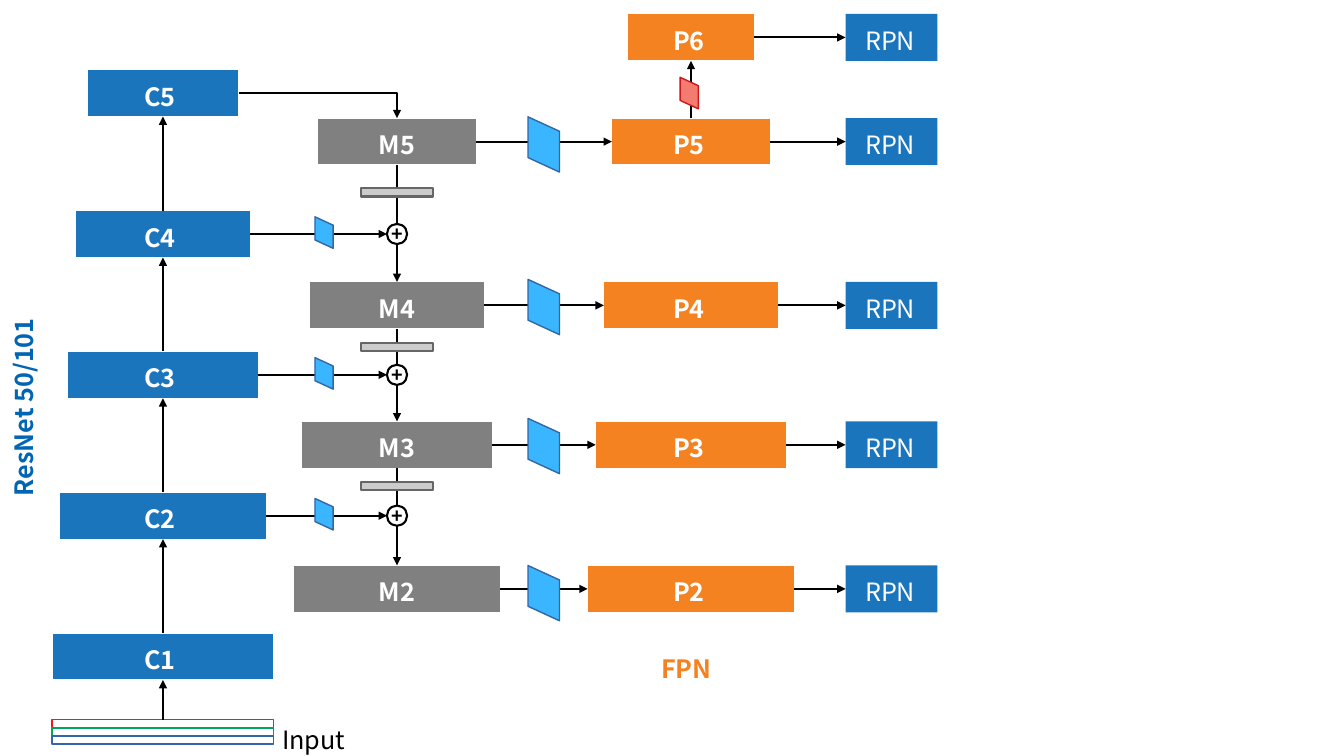
from pptx import Presentation
from pptx.dml.color import RGBColor
from pptx.enum.shapes import MSO_CONNECTOR as Route, MSO_SHAPE as Preset
from pptx.enum.text import MSO_ANCHOR as Anchor, PP_ALIGN as Align
from pptx.oxml.ns import qn
from pptx.util import Pt
from lxml.etree import SubElement

FONT = "Noto Sans CJK TC"
COLORS = {
    "blue": "1B75BC", "gray": "808080", "orange": "F58220", "white": "FFFFFF",
    "black": "000000", "sky": "39B6FF", "navy": "3465A4", "salmon": "F37B70",
    "crimson": "CE181E", "silver": "CCCCCC", "steel": "666666",
    "red": "ED1C24", "green": "00A65D", "title": "0066B3",
}
BOX_HEIGHT = 33.5
HALF = BOX_HEIGHT / 2
C_X, BAR_X, M_X, P_X, RPN_X = 116.4, 283.7, 283.6, 493.6, 636.8
CONV_X, SIDE_CONV_X = 388.4, 231.5
C_WIDTHS = {"C1": 158.4, "C2": 147.6, "C3": 136.1, "C4": 124.6, "C5": 108}
PYRAMID = {
    5: {"top": 84.4, "width": 113, "conv_y": 103.2, "bar_gap": 16.7},
    4: {"top": 201.4, "width": 124.6, "conv_y": 219.3, "bar_gap": 9.8},
    3: {"top": 301, "width": 136.1, "conv_y": 318.6, "bar_gap": 9.8},
    2: {"top": 403.9, "width": 147.6, "conv_y": 423.7},
}
TOP, LEFT, BOTTOM, RIGHT = range(4)


def rgb(name):
    """Return the named colour."""
    return RGBColor.from_string(COLORS[name])


def write(frame, text, color, size=18, bold=True, align=Align.LEFT, spacing=1.21):
    """Put one styled line of text into a text frame."""
    paragraph = frame.paragraphs[0]
    paragraph.text = text
    paragraph.alignment = align
    paragraph.line_spacing = spacing
    font = paragraph.font
    font.name, font.size, font.bold = FONT, Pt(size), bold
    font.color.rgb = rgb(color)


def add_shape(slide, preset, center_x, center_y, width, height, fill, line=None, weight=1):
    """Add a filled shape around a centre point."""
    shape = slide.shapes.add_shape(
        preset, Pt(center_x - width / 2), Pt(center_y - height / 2), Pt(width), Pt(height))
    shape.shadow.inherit = False
    shape.fill.solid()
    shape.fill.fore_color.rgb = rgb(fill)
    if line:
        shape.line.color.rgb = rgb(line)
        shape.line.width = Pt(weight)
    else:
        shape.line.fill.background()
    return shape


def add_block(slide, text, center_x, top, width, fill, nudge=0, line="white", bold=True):
    """Add a labelled network block."""
    block = add_shape(slide, Preset.RECTANGLE, center_x, top + HALF, width, BOX_HEIGHT,
                      fill, line, 0.75)
    frame = block.text_frame
    frame.vertical_anchor = Anchor.TOP
    frame.margin_left, frame.margin_right = 0, Pt(nudge)
    write(frame, text, "white", bold=bold, align=Align.CENTER)
    return block


def add_arrow(slide, start, start_side, end, end_side=None, weight=1.5, route=Route.STRAIGHT):
    """Add an arrow from a block to another block or to a point."""
    x, y = end if end_side is None else (0, 0)
    arrow = slide.shapes.add_connector(route, 0, 0, Pt(x), Pt(y))
    arrow.begin_connect(start, start_side)
    if end_side is not None:
        arrow.end_connect(end, end_side)
    arrow.line.color.rgb = rgb("black")
    arrow.line.width = Pt(weight)
    SubElement(arrow.line._get_or_add_ln(), qn("a:tailEnd"), type="triangle")
    properties = arrow._element.spPr
    SubElement(properties, qn("a:effectLst"))
    if route == Route.ELBOW:
        properties.find(qn("a:prstGeom")).set("prst", "bentConnector2")
    return arrow


def add_conv(slide, center_x, center_y, width=22.5, height=13, fill="sky", line="navy"):
    """Add an upright parallelogram that marks a convolution."""
    conv = add_shape(slide, Preset.PARALLELOGRAM, center_x, center_y, width, height, fill, line)
    conv.adjustments[0] = 0.46
    conv.rotation = 90


def add_plus(slide, center_y):
    """Add the circled plus sign of an element-wise sum."""
    circle = add_shape(slide, Preset.OVAL, M_X, center_y, 14.4, 14.4, "white", "black", 1.5)
    frame = circle.text_frame
    frame.margin_left = frame.margin_right = frame.margin_top = frame.margin_bottom = 0
    frame.word_wrap = False
    frame.vertical_anchor = Anchor.MIDDLE
    write(frame, "+", "black", 14, align=Align.CENTER, spacing=1.0)


def add_label(slide, text, left, top, width, height, color, **style):
    """Add a free-standing text label."""
    label = slide.shapes.add_textbox(Pt(left), Pt(top), Pt(width), Pt(height))
    label.text_frame.word_wrap = False
    write(label.text_frame, text, color, **style)
    return label


def add_backbone(slide):
    """Add the input planes and the bottom-up blocks, and return the blocks."""
    planes = [add_shape(slide, Preset.RECTANGLE, C_X, 517 + 5.76 * index, 158.4, 5.76,
                        "white", color)
              for index, color in enumerate(("red", "green", "navy"))]
    blocks = {}
    below = planes[0]
    for index, (name, width) in enumerate(C_WIDTHS.items()):
        blocks[name] = add_block(slide, name, C_X, 452.2 - 100.6 * index, width, "blue", 4)
        add_arrow(slide, below, TOP, blocks[name], BOTTOM)
        below = blocks[name]
    return blocks


def add_pyramid(slide):
    """Add the merged, output and RPN blocks of each level, and return M and P blocks."""
    blocks = {}
    for level, row in PYRAMID.items():
        merged = add_block(slide, f"M{level}", M_X, row["top"], row["width"], "gray")
        output = add_block(slide, f"P{level}", P_X, row["top"], row["width"], "orange", 3)
        add_arrow(slide, merged, RIGHT, output, LEFT)
        add_conv(slide, CONV_X, row["conv_y"], 39.5, 22.5)
        blocks[f"M{level}"], blocks[f"P{level}"] = merged, output
    blocks["P6"] = add_block(slide, "P6", P_X, 10, 90.7, "orange", 3)
    add_arrow(slide, blocks["P5"], TOP, blocks["P6"], BOTTOM)
    add_conv(slide, 492.3, 66.5, fill="salmon", line="crimson")
    tops = {6: 10} | {level: row["top"] for level, row in PYRAMID.items()}
    for level, top in tops.items():
        proposal = add_block(slide, "RPN", RPN_X, top, 65.6, "blue", 2, None, False)
        add_arrow(slide, blocks[f"P{level}"], RIGHT, proposal, LEFT)
    return blocks


def add_merges(slide, backbone, pyramid):
    """Add the top-down path with its upsampling bars and lateral sums."""
    add_arrow(slide, backbone["C5"], RIGHT, pyramid["M5"], TOP, route=Route.ELBOW)
    for level in (5, 4, 3):
        row = PYRAMID[level]
        add_arrow(slide, pyramid[f"M{level}"], BOTTOM, pyramid[f"M{level - 1}"], TOP,
                  1.5 if level == 5 else 1)
        add_shape(slide, Preset.RECTANGLE, BAR_X, row["top"] + BOX_HEIGHT + row["bar_gap"] + 2.9,
                  51.1, 5.8, "silver", "steel", 1.5)
        lateral = backbone[f"C{level - 1}"]
        center_y = lateral.top.pt + HALF
        add_arrow(slide, lateral, RIGHT, (M_X - 7.2, center_y))
        add_conv(slide, SIDE_CONV_X, center_y - 1)
        add_plus(slide, center_y)


def main():
    """Build the feature pyramid slide."""
    presentation = Presentation()
    presentation.slide_width, presentation.slide_height = Pt(960), Pt(540)
    slide = presentation.slides.add_slide(presentation.slide_layouts[6])
    backbone = add_backbone(slide)
    pyramid = add_pyramid(slide)
    add_merges(slide, backbone, pyramid)
    add_label(slide, "Input Image", 194.4, 509, 115.2, 33.1, "black", bold=False)
    add_label(slide, "FPN", 465.1, 458.6, 50.4, 33.1, "orange")
    title = add_label(slide, "ResNet 50/101", -79.9, 249.8, 195.8, 27.4, "title", spacing=0.93)
    title.rotation = 270
    presentation.save("out.pptx")


if __name__ == "__main__":
    main()
